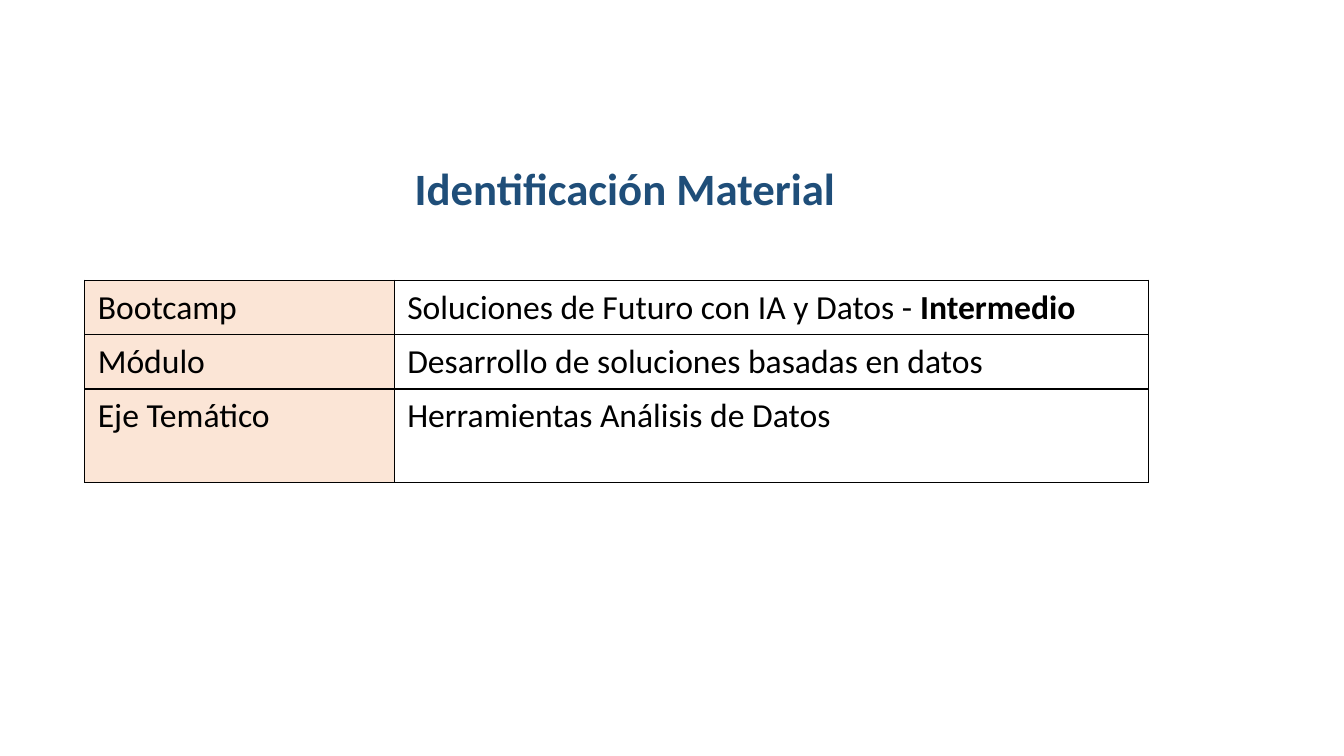
from lxml.etree import SubElement as Sub
from pptx import Presentation as Deck
from pptx.dml.color import RGBColor as Rgb
from pptx.enum.text import MSO_AUTO_SIZE as Fit, PP_ALIGN as Align
from pptx.oxml.ns import qn
from pptx.util import Pt

SCALE = 9144
INK = {"title": "1F4E79", "edge": "ED7D31", "label": "FBE5D6", "text": "000000"}
COLS = [307, 748]
ROWS = [
    (53, "Bootcamp", [("Soluciones de Futuro con IA y Datos - ", False), ("Intermedio", True)]),
    (54, "Módulo", [("Desarrollo de soluciones basadas en datos", False)]),
    (93, "Eje Temático", [("Herramientas Análisis de Datos", False)]),
]


def px(num):
    """Turn px into EMU."""
    return num * SCALE


def apply(item, form):
    """Set each format value on an item."""
    for name, value in form.items():
        setattr(item, name, value)


def add_run(para, text, size, ink, bold):
    """Add a styled run to a paragraph."""
    run = para.add_run()
    run.text = text
    apply(run.font, {"name": "Calibri", "size": Pt(size), "bold": bold})
    run.font.color.rgb = Rgb.from_string(INK[ink])
    return run


def add_line(props, tag, width, ink, place):
    """Insert a solid line among the properties of a cell or run."""
    line = Sub(props, qn(tag), w=str(Pt(width)))
    fill = Sub(line, qn("a:solidFill"))
    Sub(fill, qn("a:srgbClr"), val=INK[ink])
    props.insert(place, line)


def add_title(slide, text, left, top, width, height):
    """Add the centred title with outlined letters."""
    box = slide.shapes.add_textbox(px(left), px(top), px(width), px(height))
    frame = box.text_frame
    apply(frame, {"word_wrap": False, "auto_size": Fit.SHAPE_TO_FIT_TEXT})
    para = frame.paragraphs[0]
    para.alignment = Align.CENTER
    run = add_run(para, text, 32, "title", True)
    add_line(run.font._element, "a:ln", 0.52, "edge", 0)


def fill_cell(cell, runs, ink=None):
    """Write and frame one table cell."""
    apply(cell, {"margin_left": px(13), "margin_right": px(13),
                 "margin_top": px(7), "margin_bottom": px(7)})
    for text, bold in runs:
        add_run(cell.text_frame.paragraphs[0], text, 24, "text", bold)
    if ink:
        cell.fill.solid()
        cell.fill.fore_color.rgb = Rgb.from_string(INK[ink])
    else:
        cell.fill.background()
    for place, side in enumerate("LRTB"):
        add_line(cell._tc.get_or_add_tcPr(), f"a:ln{side}", 1, "text", place)


def add_grid(slide, left, top):
    """Add the table of labels and values."""
    high = sum(row[0] for row in ROWS)
    frame = slide.shapes.add_table(len(ROWS), len(COLS), px(left), px(top), px(sum(COLS)), px(high))
    table = frame.table
    apply(table, {"first_row": False, "horz_banding": False})
    for col, width in zip(table.columns, COLS):
        col.width = px(width)
    for row, (height, label, runs) in zip(table.rows, ROWS):
        row.height = px(height)
        fill_cell(row.cells[0], [(label, False)], "label")
        fill_cell(row.cells[1], runs)


def main():
    """Build and save the slide."""
    deck = Deck()
    apply(deck, {"slide_width": px(1333), "slide_height": px(750)})
    slide = deck.slides.add_slide(deck.slide_layouts[6])
    add_title(slide, "Identificación Material", 399, 155, 442, 64)
    add_grid(slide, 84, 278)
    deck.save("out.pptx")


if __name__ == "__main__":
    main()
